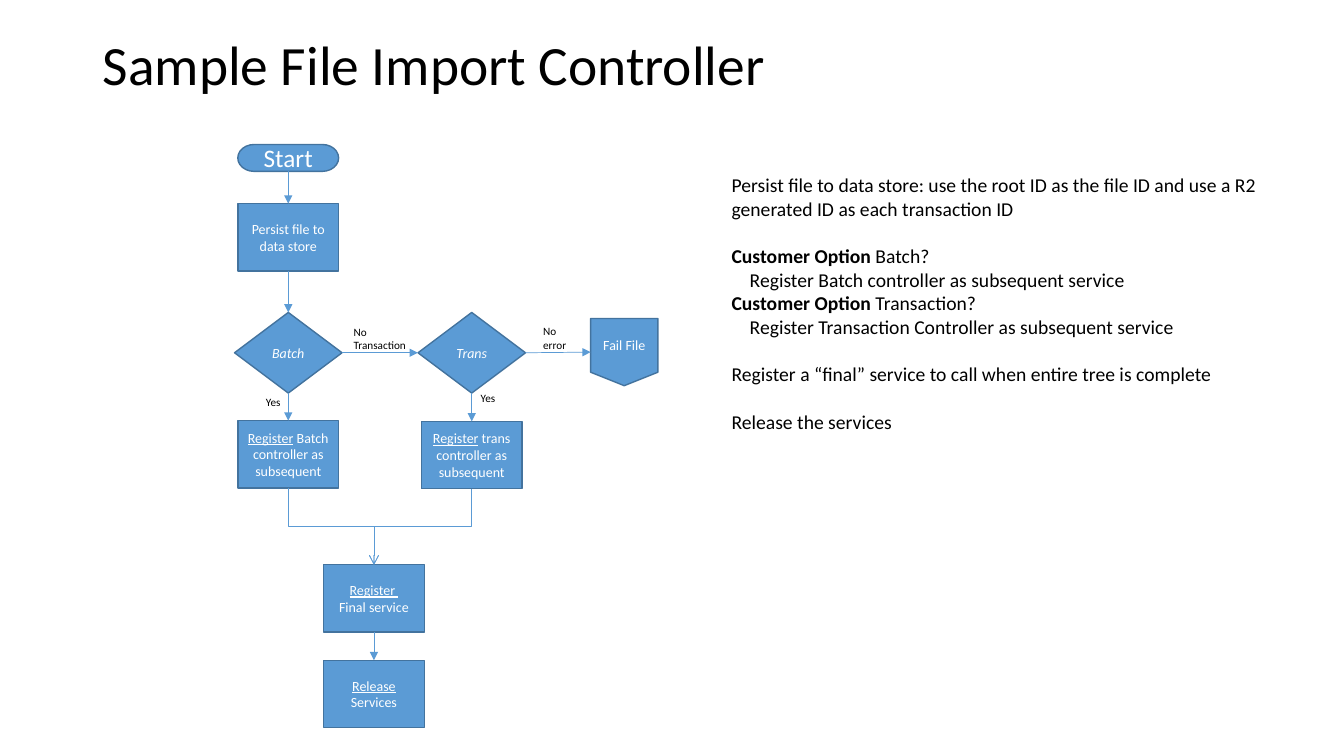
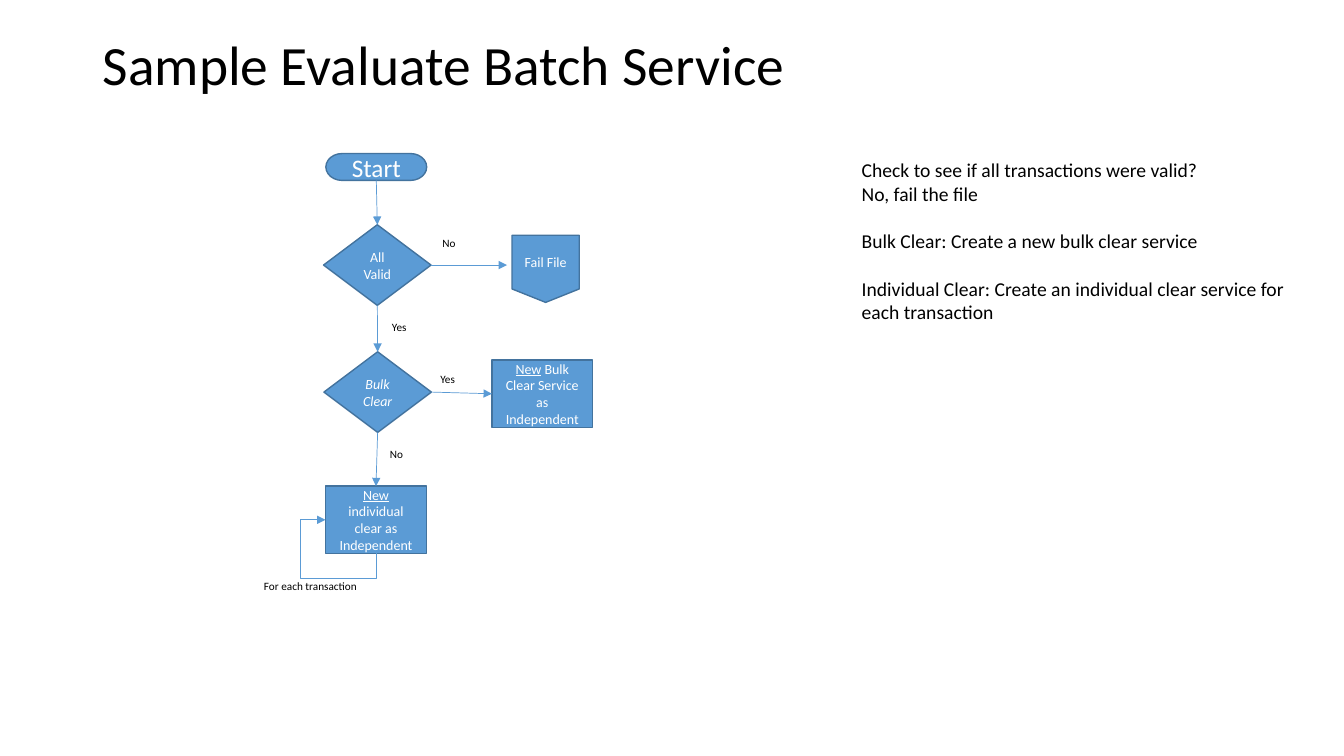
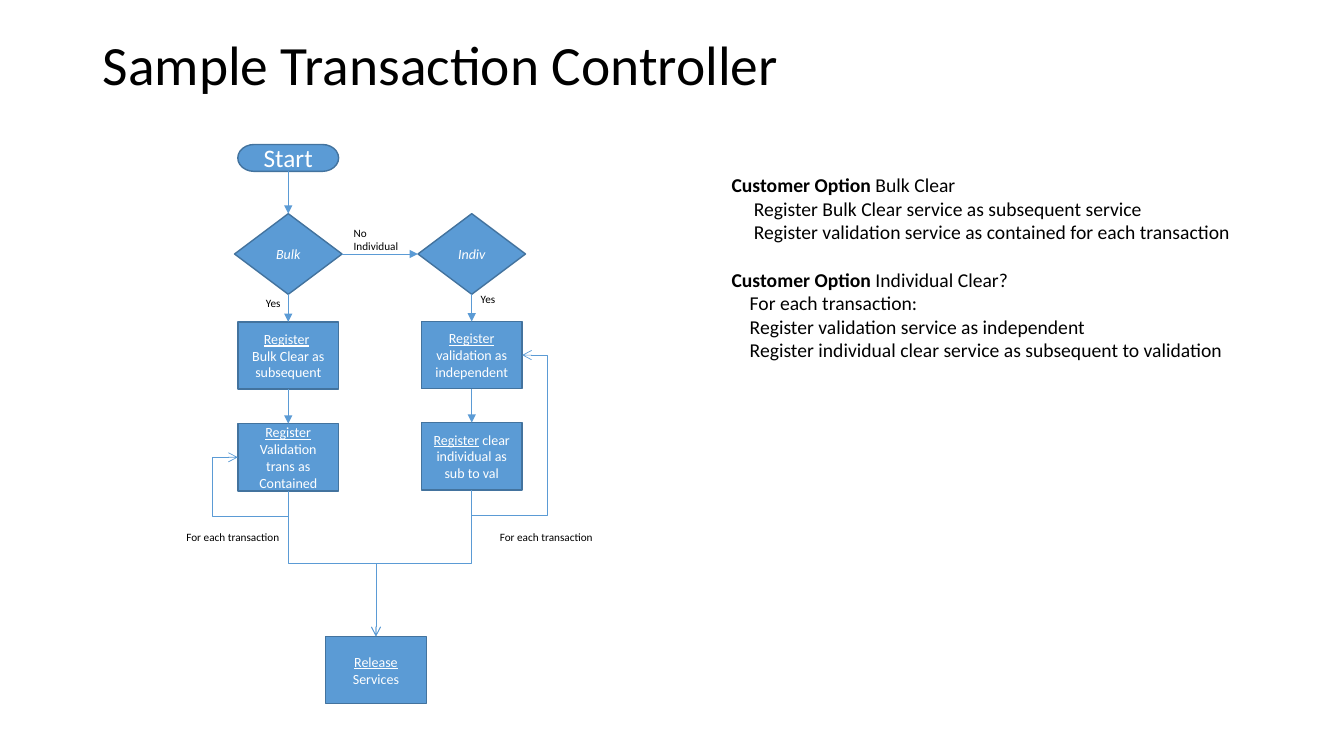
from lxml import etree
from pptx import Presentation
from pptx.dml.color import RGBColor
from pptx.enum.shapes import MSO_CONNECTOR as LINE, MSO_SHAPE as SHAPE
from pptx.enum.text import MSO_ANCHOR as ANCHOR, MSO_AUTO_SIZE as FIT, PP_ALIGN as ALIGN
from pptx.oxml.ns import qn
from pptx.util import Inches, Pt

# Shared look; the grid is 40 columns by 22.5 rows of a third of an inch
COLS, ROWS = 40, 22.5
FONT, BLACK, WHITE = "Calibri", "000000", "FFFFFF"
BLUE, EDGE = "5B9BD5", "43739E"
LEFT, RIGHT = 8.58, 14.04            # centres of the two flow columns
TOP, LEFT_SIDE, BOTTOM, RIGHT_SIDE = range(4)
LOOP_GAP = Inches(0.25)

# Kinds of flow step: preset, width, height, text size
STEP = (SHAPE.FLOWCHART_PROCESS, 3, 2, 10)
CHOICE = (SHAPE.FLOWCHART_DECISION, 3.2, 2.4, 10)
START = (SHAPE.FLOWCHART_TERMINATOR, 3, 0.8, 18)
FAIL = (SHAPE.FLOWCHART_OFFPAGE_CONNECTOR, 2, 2, 10)


def grid(*cells):
    return [Inches(n / 3) for n in cells]


def rgb(value):
    return RGBColor.from_string(value)


def fill_paragraph(p, runs, size, color):
    """Runs are plain strings or (text, style) with style u, i or b."""
    for run in [runs] if isinstance(runs, str) else runs:
        text, style = (run, "") if isinstance(run, str) else run
        if text == "\n":
            p.add_line_break()
            continue
        r = p.add_run()
        r.text = text
        r.font.name, r.font.size, r.font.color.rgb = FONT, Pt(size), rgb(color)
        r.font.underline = "u" in style
        r.font.italic = "i" in style
        r.font.bold = "b" in style


def add_paragraphs(tf, paragraphs, size, color, align):
    for i, runs in enumerate(paragraphs):
        p = tf.add_paragraph() if i else tf.paragraphs[0]
        p.alignment = align
        fill_paragraph(p, runs, size, color)


def add_slide(prs, title):
    s = prs.slides.add_slide(prs.slide_layouts[5])
    sp = s.shapes.title
    sp.left, sp.top, sp.width, sp.height = grid(2.76, 1.2, 34.5, 1.62)
    tf = sp.text_frame
    tf.word_wrap, tf.auto_size, tf.vertical_anchor = True, FIT.NONE, ANCHOR.MIDDLE
    add_paragraphs(tf, [title], 39.6, BLACK, ALIGN.LEFT)
    tf.paragraphs[0].line_spacing = 0.9
    return s


def node(s, kind, x, y, *paragraphs):
    """A flow step centred on a grid point."""
    preset, w, h, size = kind
    sp = s.shapes.add_shape(preset, *grid(x - w / 2, y - h / 2, w, h))
    sp.shadow.inherit = False
    sp.fill.solid()
    sp.fill.fore_color.rgb = rgb(BLUE)
    sp.line.color.rgb, sp.line.width = rgb(EDGE), Pt(1)
    tf = sp.text_frame
    tf.word_wrap, tf.vertical_anchor = True, ANCHOR.MIDDLE
    add_paragraphs(tf, paragraphs, size, WHITE, ALIGN.CENTER)
    return sp


def text_box(s, x, y, w, h, paragraphs, size):
    tf = s.shapes.add_textbox(*grid(x, y, w, h)).text_frame
    tf.word_wrap, tf.auto_size = True, FIT.SHAPE_TO_FIT_TEXT
    add_paragraphs(tf, paragraphs, size, BLACK, ALIGN.LEFT)
    return tf


def label(s, x, y, text, w=2.31, h=0.72):
    text_box(s, x, y, w, h, [text], 8)


def notes(s, x, y, w, h, items):
    """Items are (runs, indent in inches, gap before in points)."""
    tf = text_box(s, x, y, w, h, [runs for runs, _, _ in items], 14)
    for p, (_, indent, gap) in zip(tf.paragraphs, items):
        p.space_before = Pt(gap)
        if indent:
            p._p.get_or_add_pPr().set("marL", str(Inches(indent)))


def link(s, a, b, sides=(BOTTOM, TOP), kind=LINE.STRAIGHT, head="triangle"):
    """An arrow from one step to another, or to a grid point."""
    c = s.shapes.add_connector(kind, 0, 0, 0, 0)
    c.begin_connect(a, sides[0])
    if isinstance(b, tuple):
        c.end_x, c.end_y = grid(*b)
    else:
        c.end_connect(b, sides[1])
    c.line.color.rgb, c.line.width = rgb(BLUE), Pt(0.5)
    etree.SubElement(c.line._get_or_add_ln(), qn("a:tailEnd"), type=head)
    etree.SubElement(c._element.spPr, qn("a:effectLst"))
    return c


def elbow(s, a, b, sides=(BOTTOM, TOP), head="arrow"):
    """A bent arrow leaving downwards; one that ends higher loops around."""
    c = link(s, a, b, sides, LINE.ELBOW, head)
    dx, dy = c.end_x - c.begin_x, c.end_y - c.begin_y
    mid_x, mid_y = (c.begin_x + c.end_x) // 2, (c.begin_y + c.end_y) // 2
    w, h = abs(dy), abs(dx)
    right, up = dx > 0, dy < 0
    c.left, c.top, c.width, c.height = mid_x - w // 2, mid_y - h // 2, w, h
    xfrm = c._element.spPr.find(qn("a:xfrm"))
    xfrm.set("rot", str((270 if right and not up else 90) * 60000))
    xfrm.set("flipH", str(int(right or up)))
    xfrm.set("flipV", str(int(right and up)))
    if up:
        geom = c._element.spPr.find(qn("a:prstGeom"))
        geom.set("prst", "bentConnector4")
        guides = geom.find(qn("a:avLst"))
        bends = {"adj1": -LOOP_GAP / w, "adj2": 1 + LOOP_GAP / h}
        for name, share in bends.items():
            etree.SubElement(guides, qn("a:gd"), name=name,
                             fmla=f"val {round(share * 100000)}")


def two_choices(s, y, first, second, no_text):
    """Two decisions side by side with their Yes and No labels."""
    a = node(s, CHOICE, LEFT, y, [(first, "i")])
    b = node(s, CHOICE, RIGHT, y, [(second, "i")])
    link(s, a, b, (RIGHT_SIDE, LEFT_SIDE))
    label(s, 7.62, y + 1.11, "Yes", 1.32)
    label(s, 10.23, y - 0.97, no_text, h=1.11)
    label(s, 14.01, y + 0.99, "Yes", 2.67)
    return a, b


def import_controller(prs):
    s = add_slide(prs, "Sample File Import Controller")
    start = node(s, START, LEFT, 4.7, "Start")
    persist = node(s, STEP, LEFT, 7.06, "Persist file to data store")
    batch, trans = two_choices(s, 10.5, "Batch", "Trans", "No Transaction")
    fail = node(s, FAIL, 18.58, 10.48, "Fail File")
    reg_batch = node(s, STEP, LEFT, 13.52,
                     [("Register", "u"), " Batch controller as subsequent"])
    reg_trans = node(s, STEP, RIGHT, 13.54,
                     [("Register", "u"), " trans controller as subsequent"])
    final = node(s, STEP, 11.13, 17.81, [("Register ", "u")], "Final service")
    release = node(s, STEP, 11.13, 20.65, [("Release ", "u"), "Services"])
    for a, b in [(start, persist), (persist, batch), (batch, reg_batch),
                 (trans, reg_trans), (final, release)]:
        link(s, a, b)
    link(s, trans, fail, (RIGHT_SIDE, LEFT_SIDE))
    label(s, 15.87, 9.51, "No error", 1.32, 1.11)
    for step in (reg_batch, reg_trans):
        elbow(s, step, final)
    option = ("Customer Option ", "b")
    notes(s, 21.48, 5.01, 16.59, 8.07, [
        ("Persist file to data store: use the root ID as the file ID and use "
         "a R2 generated ID as each transaction ID", 0, 0),
        ([option, "Batch?"], 0, 17),
        ("Register Batch controller as subsequent service", 0.18, 0),
        ([option, "Transaction?"], 0, 0),
        ("Register Transaction Controller as subsequent service", 0.18, 0),
        ("Register a “final” service to call when entire tree is complete", 0, 17),
        ("Release the services", 0, 17)])


def batch_service(prs):
    s = add_slide(prs, "Sample Evaluate Batch Service")
    start = node(s, START, 11.2, 4.97, "Start")
    valid = node(s, CHOICE, 11.23, 7.89, "All Valid")
    bulk = node(s, CHOICE, 11.24, 11.67, [("Bulk Clear", "i")])
    single = node(s, STEP, 11.19, 15.47,
                  [("New", "u"), (" ", "i"), "individual clear as Independent"])
    node(s, FAIL, 16.24, 8, "Fail File")
    new_bulk = node(s, STEP, 16.14, 11.72,
                    [("New", "u"), " Bulk Clear Service"], "as Independent")
    for a, b in [(start, valid), (valid, bulk), (bulk, single)]:
        link(s, a, b)
    link(s, valid, (15.09, 7.89), (RIGHT_SIDE, None))
    link(s, bulk, new_bulk, (RIGHT_SIDE, LEFT_SIDE))
    elbow(s, single, single, (BOTTOM, LEFT_SIDE), "triangle")
    for x, y, text in [(12.87, 6.9, "No"), (11.31, 13.17, "No"),
                       (12.81, 10.92, "Yes"), (11.37, 9.39, "Yes")]:
        label(s, x, y, text)
    label(s, 7.56, 17.1, "For each transaction", 3.66)
    notes(s, 25.35, 4.56, 13.62, 5.25, [
        ("Check to see if all transactions were valid?", 0, 0),
        ("No, fail the file", 0, 0),
        ("Bulk Clear: Create a new bulk clear service", 0, 17),
        ("Individual Clear: Create an individual clear service for each "
         "transaction", 0, 17)])


def transaction_controller(prs):
    s = add_slide(prs, "Sample Transaction Controller")
    start = node(s, START, LEFT, 4.7, "Start")
    bulk, indiv = two_choices(s, 7.56, "Bulk", "Indiv", "No Individual")
    reg = ("Register", "u")
    reg_bulk = node(s, STEP, LEFT, 10.58, [reg, " ", "\n", "Bulk Clear as subsequent"])
    validate = node(s, STEP, RIGHT, 10.57, [reg, " validation as independent"])
    contained = node(s, STEP, LEFT, 13.61, [reg, " Validation trans as Contained"])
    clear = node(s, STEP, RIGHT, 13.58, [reg, " clear individual as sub to val"])
    release = node(s, STEP, 11.19, 19.94, [("Release ", "u"), "Services"])
    for a, b in [(start, bulk), (bulk, reg_bulk), (reg_bulk, contained),
                 (indiv, validate), (validate, clear)]:
        link(s, a, b)
    for step in (contained, clear):
        elbow(s, step, release)
    elbow(s, contained, contained, (BOTTOM, LEFT_SIDE))
    elbow(s, clear, validate, (BOTTOM, RIGHT_SIDE))
    for x in (5.25, 14.58):
        label(s, x, 15.63, "For each transaction", 3.66)
    option = ("Customer Option ", "b")
    notes(s, 21.48, 5.01, 16.59, 5.97, [
        ([option, "Bulk Clear"], 0, 0),
        ("Register Bulk Clear service as subsequent service", 0.22, 0),
        ("Register validation service as contained for each transaction", 0.22, 0),
        ([option, "Individual Clear?"], 0, 17),
        ("For each transaction:", 0.18, 0),
        ("Register validation service as independent", 0.18, 0),
        ("Register individual clear service as subsequent to validation", 0.18, 0)])


def main():
    prs = Presentation()
    prs.slide_width, prs.slide_height = grid(COLS, ROWS)
    import_controller(prs)
    batch_service(prs)
    transaction_controller(prs)
    prs.save("out.pptx")


main()
